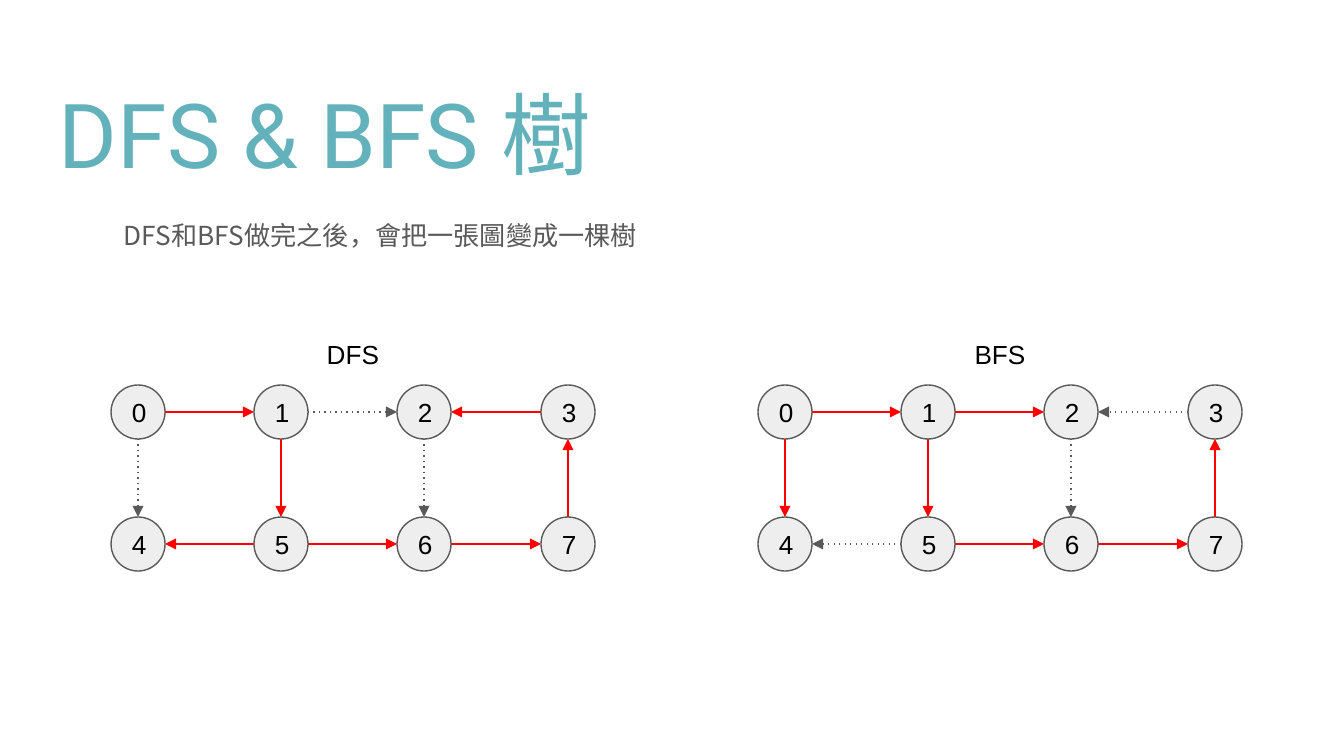
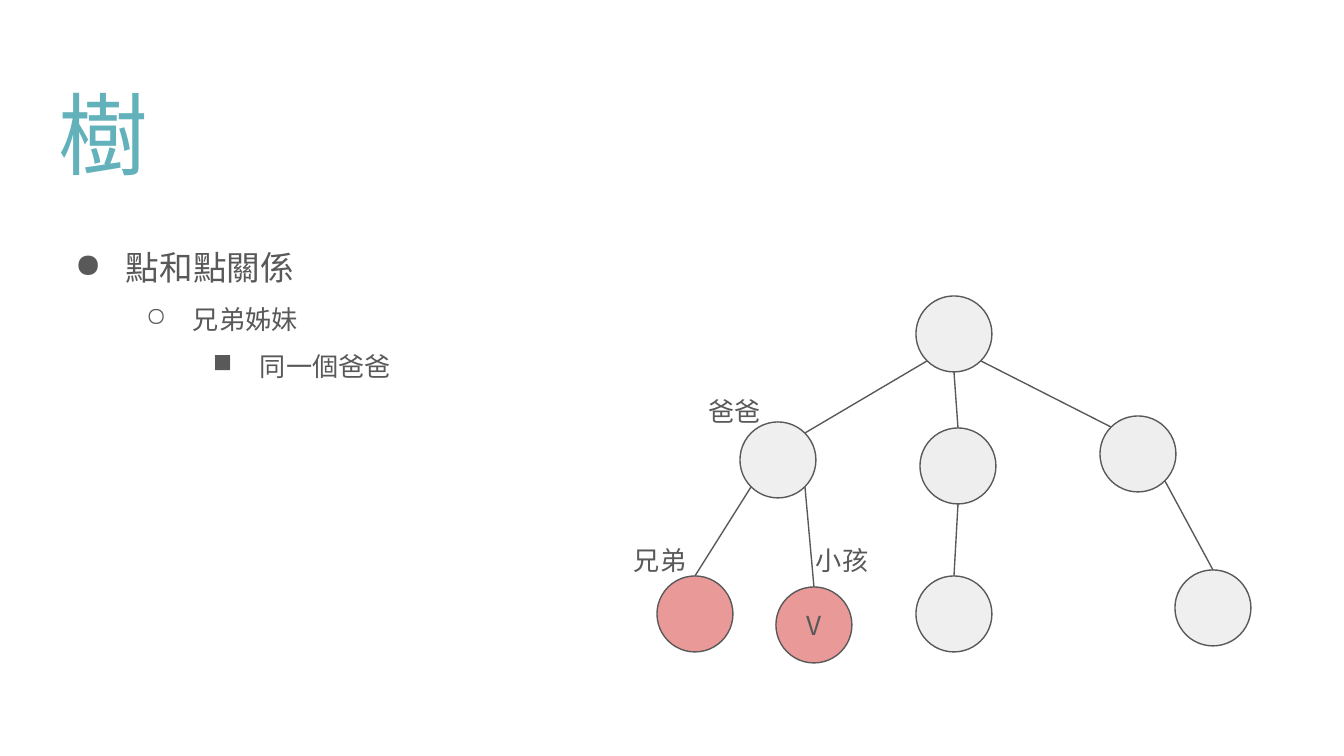
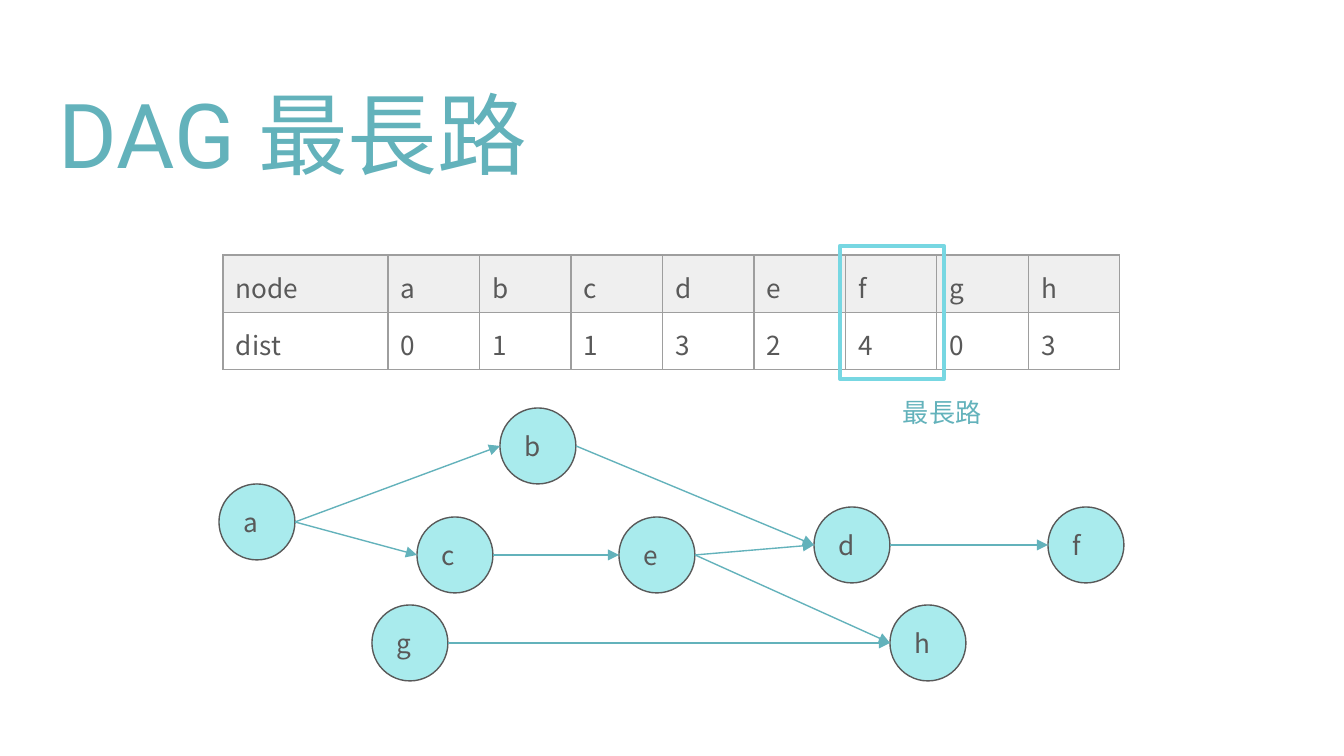
import pptx
import pptx.dml.color
import pptx.enum.shapes
import pptx.enum.text
import pptx.oxml.ns
import pptx.util
from lxml import etree

PX = 914400 / 134.4
SLIDE_WIDTH, SLIDE_HEIGHT = 1344, 756
INSET = 13

TEAL, GREY, BLACK, RED = "63B2BB", "595959", "000000", "FF0000"
NODE_GREY, LIGHT_GREY, PINK, AQUA = "EEEEEE", "EFEFEF", "EA9999", "A9EBED"
BORDER_GREY, HIGHLIGHT = "9E9E9E", "77D7E2"
BODY_FONT, TITLE_FONT, LABEL_FONT = "Noto Sans CJK TC", "Roboto", "Arial"

LEFT, CENTER = pptx.enum.text.PP_ALIGN.LEFT, pptx.enum.text.PP_ALIGN.CENTER
TOP, MIDDLE = pptx.enum.text.MSO_ANCHOR.TOP, pptx.enum.text.MSO_ANCHOR.MIDDLE
OVAL = pptx.enum.shapes.MSO_SHAPE.OVAL
RECTANGLE = pptx.enum.shapes.MSO_SHAPE.RECTANGLE

# Directions from the centre of a circle to a point on its rim
SIDES = {
    "top": (0, -1), "bottom": (0, 1), "left": (-1, 0), "right": (1, 0),
    "top left": (-0.71, -0.71), "top right": (0.71, -0.71),
    "bottom left": (-0.71, 0.71), "bottom right": (0.71, 0.71),
}


# Basics
def px(length):
    return pptx.util.Emu(round(length * PX))


def rgb(color):
    return pptx.dml.color.RGBColor.from_string(color)


def add_xml(parent, tag, **attributes):
    return etree.SubElement(parent, pptx.oxml.ns.qn(tag), attributes)


def set_all(target, values):
    for name, value in values.items():
        setattr(target, name, value)


def margins():
    return {f"margin_{side}": px(INSET) for side in ("left", "right", "top", "bottom")}


# Text
def write(paragraph, text, size=14, color=GREY, face=BODY_FONT, **formats):
    set_all(paragraph, formats)
    run = paragraph.add_run()
    run.text = text
    set_all(run.font, {"size": pptx.util.Pt(size), "name": face})
    run.font.color.rgb = rgb(color)
    add_xml(run._r.get_or_add_rPr(), "a:ea", typeface=face)


def prepare_frame(shape, anchor):
    frame = shape.text_frame
    set_all(frame, {"word_wrap": True, "vertical_anchor": anchor, **margins()})
    return frame


def add_text(slide, box, text, anchor=TOP, **formats):
    frame = prepare_frame(slide.shapes.add_textbox(*map(px, box)), anchor)
    write(frame.paragraphs[0], text, **formats)


def add_title(slide, text):
    add_text(slide, (46, 66, 1253, 133), text, size=48, color=TEAL, face=TITLE_FONT)


def add_bullets(slide, box, items):
    frame = prepare_frame(slide.shapes.add_textbox(*map(px, box)), TOP)
    for level, (mark, text, size, hanging) in enumerate(items):
        paragraph = frame.paragraphs[0] if level == 0 else frame.add_paragraph()
        properties = paragraph._p.get_or_add_pPr()
        properties.set("marL", str(px(67 * (level + 1))))
        properties.set("indent", str(px(-hanging)))
        bullet_color = add_xml(properties, "a:buClr")
        add_xml(bullet_color, "a:srgbClr", val=GREY)
        add_xml(properties, "a:buChar", char=mark)
        write(paragraph, text, size=size, level=level, line_spacing=1.5)


# Shapes and lines
def add_outlined(slide, kind, box, fill, line, width):
    shape = slide.shapes.add_shape(kind, *map(px, box))
    shape.shadow.inherit = False
    if fill:
        shape.fill.solid()
        shape.fill.fore_color.rgb = rgb(fill)
    else:
        shape.fill.background()
    shape.line.color.rgb = rgb(line)
    shape.line.width = pptx.util.Pt(width)
    return shape


def add_node(slide, left, top, diameter, fill, text="", **formats):
    node = add_outlined(slide, OVAL, (left, top, diameter, diameter), fill, GREY, 0.75)
    if text:
        write(prepare_frame(node, MIDDLE).paragraphs[0], text, **formats)
    return node


def rim_point(node, side):
    across, down = SIDES[side]
    radius = node.width / 2
    return (round(node.left + radius * (1 + across)),
            round(node.top + radius * (1 + down)))


def add_edge(slide, start, start_side, end, end_side, color, arrow=True, dotted=False):
    connector = slide.shapes.add_connector(
        pptx.enum.shapes.MSO_CONNECTOR.STRAIGHT,
        *rim_point(start, start_side), *rim_point(end, end_side))
    connector.line.color.rgb = rgb(color)
    connector.line.width = pptx.util.Pt(0.75)
    line = connector.line._get_or_add_ln()
    if dotted:
        add_xml(line, "a:prstDash", val="dot")
    if arrow:
        add_xml(line, "a:tailEnd", type="triangle")
    add_xml(connector._element.spPr, "a:effectLst")


# Search graph: two rows of four numbered nodes
def add_search_graph(slide, name, left, tree_edges):
    nodes = {}
    for number in range(8):
        row, column = divmod(number, 4)
        nodes[number] = add_node(
            slide, left + column * 430 // 3, 385 + row * 132, 54, NODE_GREY,
            str(number), color=BLACK, face=LABEL_FONT, alignment=CENTER)
    for edge in "01 15 54 12 32 56 67 73 26 04".split():
        start, end = map(int, edge)
        sides = {1: ("right", "left"), -1: ("left", "right"),
                 4: ("bottom", "top"), -4: ("top", "bottom")}[end - start]
        in_tree = edge in tree_edges.split()
        add_edge(slide, nodes[start], sides[0], nodes[end], sides[1],
                 RED if in_tree else GREY, dotted=not in_tree)
    add_text(slide, (left + 164, 332, 156, 44), name, anchor=MIDDLE,
             color=BLACK, face=LABEL_FONT, alignment=CENTER)


# Table
def add_cell_borders(cell):
    properties = cell._tc.get_or_add_tcPr()
    for position, tag in enumerate(("a:lnL", "a:lnR", "a:lnT", "a:lnB")):
        border = etree.Element(pptx.oxml.ns.qn(tag), w=str(pptx.util.Pt(0.75)))
        add_xml(add_xml(border, "a:solidFill"), "a:srgbClr", val=BORDER_GREY)
        properties.insert(position, border)


def add_distance_table(slide, left, top, rows):
    widths = [165] + [91.5] * (len(rows[0]) - 1)
    row_height = 57
    table = slide.shapes.add_table(
        len(rows), len(widths), px(left), px(top),
        px(sum(widths)), px(row_height * len(rows))).table
    set_all(table, {"first_row": False, "horz_banding": False})
    for column, width in zip(table.columns, widths):
        column.width = px(width)
    for row_index, values in enumerate(rows):
        table.rows[row_index].height = px(row_height)
        for column_index, value in enumerate(values):
            cell = table.cell(row_index, column_index)
            set_all(cell, margins())
            if row_index == 0:
                cell.fill.solid()
                cell.fill.fore_color.rgb = rgb(LIGHT_GREY)
            else:
                cell.fill.background()
            add_cell_borders(cell)
            write(cell.text_frame.paragraphs[0], value)


# Slides
def build_search_trees(slide):
    add_title(slide, "DFS & BFS 樹")
    add_text(slide, (111, 206, 1130, 118), "DFS和BFS做完之後，會把一張圖變成一棵樹")
    add_search_graph(slide, "DFS", 111, "01 15 54 32 56 67 73")
    add_search_graph(slide, "BFS", 758, "01 15 12 56 67 73 04")


def build_family_tree(slide):
    add_title(slide, "樹")
    add_bullets(slide, (46, 214, 1253, 457), [
        ("●", "點和點關係", 18, 51),
        ("○", "兄弟姊妹", 14, 47),
        ("■", "同一個爸爸", 14, 47),
    ])
    places = {
        "root": (916, 296, LIGHT_GREY), "father": (740, 422, LIGHT_GREY),
        "uncle": (920, 428, NODE_GREY), "aunt": (1100, 416, NODE_GREY),
        "brother": (657, 576, PINK), "cousin": (916, 576, LIGHT_GREY),
        "child": (776, 587, PINK), "far cousin": (1175, 570, LIGHT_GREY),
    }
    nodes = {
        name: add_node(slide, left, top, 76, fill,
                       "V" if name == "child" else "", alignment=CENTER)
        for name, (left, top, fill) in places.items()
    }
    for parent, parent_side, child, child_side in [
        ("root", "bottom left", "father", "top right"),
        ("root", "bottom", "uncle", "top"),
        ("root", "bottom right", "aunt", "top left"),
        ("father", "bottom left", "brother", "top"),
        ("father", "bottom right", "child", "top"),
        ("uncle", "bottom", "cousin", "top"),
        ("aunt", "bottom right", "far cousin", "top"),
    ]:
        add_edge(slide, nodes[parent], parent_side, nodes[child], child_side,
                 GREY, arrow=False)
    for text, left, top, width in [
        ("爸爸", 695, 382, 173), ("小孩", 803, 531, 82), ("兄弟", 621, 531, 82),
    ]:
        add_text(slide, (left, top, width, 56), text)


def build_longest_path(slide):
    add_title(slide, "DAG 最長路")
    places = {
        "a": (219, 484), "b": (500, 408), "c": (417, 517), "d": (814, 507),
        "e": (619, 517), "f": (1048, 507), "g": (372, 605), "h": (890, 605),
    }
    nodes = {name: add_node(slide, left, top, 76, AQUA, name, alignment=LEFT)
             for name, (left, top) in places.items()}
    for start, end in "ab ac ed gh eh ce df bd".split():
        add_edge(slide, nodes[start], "right", nodes[end], "left", TEAL)
    add_distance_table(slide, 223, 255, [["node", *"abcdefgh"], ["dist", *"01132403"]])
    add_outlined(slide, RECTANGLE, (840, 246, 104, 133), None, HIGHLIGHT, 2.25)
    add_text(slide, (890, 379, 111, 59), "最長路", color=TEAL, line_spacing=1.15)


def main():
    presentation = pptx.Presentation()
    set_all(presentation, {"slide_width": px(SLIDE_WIDTH), "slide_height": px(SLIDE_HEIGHT)})
    for build in (build_search_trees, build_family_tree, build_longest_path):
        build(presentation.slides.add_slide(presentation.slide_layouts[6]))
    presentation.save("out.pptx")


if __name__ == "__main__":
    main()
